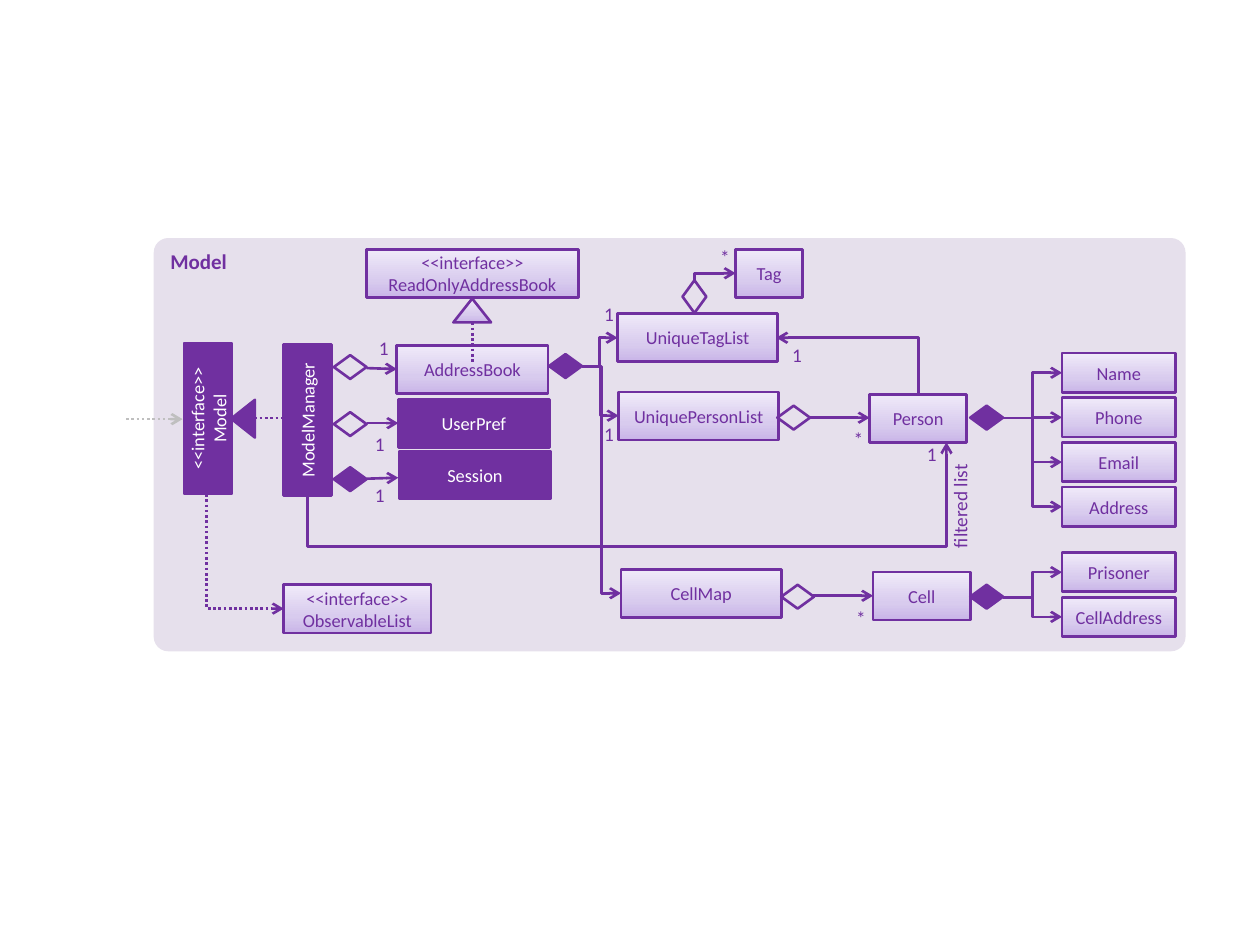
import copy
import math

import lxml.etree
import pptx
import pptx.dml.color
import pptx.enum.dml
import pptx.enum.shapes
import pptx.enum.text
import pptx.oxml.ns
import pptx.util

Cm = pptx.util.Cm
Pt = pptx.util.Pt
qn = pptx.oxml.ns.qn
SHAPES = pptx.enum.shapes.MSO_SHAPE
CONNECTORS = pptx.enum.shapes.MSO_CONNECTOR
ALIGN = pptx.enum.text.PP_ALIGN
ANCHOR = pptx.enum.text.MSO_ANCHOR

FONT = "Calibri"
PURPLE, WHITE, PANEL, GREY = "7030A0", "FFFFFF", "E6E0EC", "BFBFBF"
GRADIENT = [(0, "C9B5E8"), (0.35, "D8CBEE"), (1, "F0EAF9")]
BOX_HEIGHT = 0.97
DIAMOND = (0.66, 0.48)
TRIANGLE = (0.76, 0.48)

# All places and sizes are in centimetres.
# text ("\n" new paragraph, "\v" line break), left, top, width, rotation
SOLID_BOXES = [
    ("UserPref", 8.03, 8.05, 3.05, 0),
    ("Session", 8.05, 9.09, 3.05, 0),
    ("ModelManager", 4.67, 7.98, 3.05, 270),
    ("<<interface>>\nModel", 2.67, 7.95, 3.05, 270),
]
LIGHT_BOXES = [
    ("AddressBook", 8.0, 6.96, 3.05),
    ("UniquePersonList", 12.47, 7.9, 3.23),
    ("UniqueTagList", 12.45, 6.32, 3.23),
    ("CellMap", 12.52, 11.48, 3.23),
    ("Person", 17.53, 7.95, 1.96),
    ("Cell", 17.6, 11.53, 1.96),
    ("Tag", 14.83, 5.03, 1.35),
    ("<<interface>>\vReadOnlyAddressBook", 7.39, 5.03, 4.27),
    ("<<interface>>\vObservableList", 5.72, 11.79, 2.97),
]
# names, top of the first box, start of the branching lines
FIELD_STACKS = [
    (["Name", "Phone", "Email", "Address"], 7.12, (20.22, 8.43)),
    (["Prisoner", "CellAddress"], 11.14, (20.22, 12.04)),
]
FIELD_LEFT, FIELD_WIDTH, FIELD_HEIGHT, FIELD_PITCH = 21.41, 2.29, 0.79, 0.9

# left, top, rotation
AGGREGATIONS = [(6.73, 8.31, 0), (6.73, 7.16, 0), (15.67, 8.18, 0),
                (15.75, 11.79, 0), (13.67, 5.74, 270)]
COMPOSITIONS = [(11.07, 7.14, 0), (19.56, 8.18, 0), (19.56, 11.79, 0), (6.73, 9.42, 0)]

ARROWS = [
    ((7.39, 8.53), (8.03, 8.53)),
    ((7.39, 7.42), (8.0, 7.44)),
    ((7.39, 9.65), (8.03, 9.63)),
    ((16.33, 8.42), (17.53, 8.42)),
    ((16.38, 12.01), (17.6, 12.01)),
]
DOTTED_LINES = [((5.13, 8.43), (5.74, 8.43)), ((9.52, 6.5), (9.52, 7.32))]
BOOK_START = (11.73, 7.39)
BOOK_ENDS = [(12.47, 8.38), (12.45, 6.81), (12.52, 11.96)]
# start, end, dotted, preset, adjustments
CORNERS = [
    ((14.0, 5.66), (14.83, 5.51), False, "bentConnector2", ()),
    ((18.52, 7.95), (15.65, 6.81), False, "bentConnector2", ()),
    ((4.17, 9.96), (5.72, 12.27), True, "bentConnector2", ()),
    ((6.2, 9.96), (19.08, 8.92), False, "bentConnector4", (-102000, 100000)),
]
MULTIPLICITIES = [
    ("1", 12.01, 6.1), ("1", 12.01, 8.51), ("1", 15.8, 6.93), ("*", 14.35, 4.95),
    ("*", 17.04, 8.61), ("1", 7.47, 6.78), ("1", 7.39, 8.71), ("1", 18.52, 8.92),
    ("*", 17.09, 12.22), ("1", 7.39, 9.75),
]


def rgb(value):
    return pptx.dml.color.RGBColor.from_string(value)


def write(shape, text, size, color, align=ALIGN.CENTER, bold=False):
    frame = shape.text_frame
    frame.word_wrap = True
    for index, content in enumerate(text.split("\n")):
        paragraph = frame.add_paragraph() if index else frame.paragraphs[0]
        paragraph.alignment = align
        for part_index, part in enumerate(content.split("\v")):
            if part_index:
                paragraph.add_line_break()
            run = paragraph.add_run()
            run.text = part
            run.font.name = FONT
            run.font.size = Pt(size)
            run.font.bold = bold
            run.font.color.rgb = rgb(color)


def fill_gradient(shape):
    """Fill from dark at the bottom to light at the top."""
    shape.fill.gradient()
    shape.fill.gradient_angle = 90
    stop_list = shape.element.spPr.find(".//" + qn("a:gsLst"))
    stop_list.insert(1, copy.deepcopy(stop_list[0]))
    for stop, (position, color) in zip(shape.fill.gradient_stops, GRADIENT):
        stop.position = position
        stop.color.rgb = rgb(color)


def add_shape(slide, preset, left, top, width, height, fill=None, rotation=0, line=PURPLE):
    """Add a preset; fill is a colour, "gradient" or None for no fill."""
    shape = slide.shapes.add_shape(preset, Cm(left), Cm(top), Cm(width), Cm(height))
    shape.shadow.inherit = False
    shape.rotation = rotation
    if fill == "gradient":
        fill_gradient(shape)
    elif fill:
        shape.fill.solid()
        shape.fill.fore_color.rgb = rgb(fill)
    else:
        shape.fill.background()
    if line:
        shape.line.color.rgb = rgb(line)
        shape.line.width = Pt(1.5)
    else:
        shape.line.fill.background()
    return shape


def add_box(slide, text, left, top, width, height=BOX_HEIGHT, fill="gradient", rotation=0):
    box = add_shape(slide, SHAPES.RECTANGLE, left, top, width, height, fill, rotation)
    box.text_frame.vertical_anchor = ANCHOR.MIDDLE
    write(box, text, 10.5, PURPLE if fill == "gradient" else WHITE)


def add_line(slide, start, end, kind=CONNECTORS.STRAIGHT, dotted=False, arrow=True, color=PURPLE):
    connector = slide.shapes.add_connector(kind, *map(Cm, start + end))
    connector.line.color.rgb = rgb(color)
    connector.line.width = Pt(1.5)
    if dotted:
        connector.line.dash_style = pptx.enum.dml.MSO_LINE.ROUND_DOT
    properties = connector.element.spPr
    if arrow:
        lxml.etree.SubElement(properties.find(qn("a:ln")), qn("a:tailEnd"), type="arrow")
    lxml.etree.SubElement(properties, qn("a:effectLst"))
    return connector


def add_corner(slide, start, end, dotted, preset, adjustments):
    """Add a bent connector that leaves its start vertically, by a quarter turn."""
    across, down = end[0] - start[0], end[1] - start[1]
    middle_x, middle_y = start[0] + across / 2, start[1] + down / 2
    half_width = math.copysign(down / 2, across)
    half_height = math.copysign(across / 2, -down)
    connector = add_line(slide, (middle_x + half_width, middle_y + half_height),
                         (middle_x - half_width, middle_y - half_height),
                         CONNECTORS.ELBOW, dotted)
    properties = connector.element.spPr
    turn = 90 if across * down < 0 else 270
    properties.find(qn("a:xfrm")).set("rot", str(turn * 60000))
    geometry = properties.find(qn("a:prstGeom"))
    geometry.set("prst", preset)
    for number, value in enumerate(adjustments, 1):
        lxml.etree.SubElement(geometry.find(qn("a:avLst")), qn("a:gd"),
                              name=f"adj{number}", fmla=f"val {value}")


def add_label(slide, text, left, top, width=0.53, height=0.51):
    label = slide.shapes.add_textbox(Cm(left), Cm(top), Cm(width), Cm(height))
    frame = label.text_frame
    frame.margin_left = frame.margin_right = frame.margin_top = frame.margin_bottom = 0
    write(label, text, 11, PURPLE)


def main():
    presentation = pptx.Presentation()
    presentation.slide_width, presentation.slide_height = Cm(25.4), Cm(19.05)
    slide = presentation.slides.add_slide(presentation.slide_layouts[6])

    panel = add_shape(slide, SHAPES.ROUNDED_RECTANGLE, 3.1, 4.8, 20.8, 8.33, PANEL, line=None)
    panel.adjustments[0] = 0.035
    panel.text_frame.vertical_anchor = ANCHOR.TOP
    write(panel, "Model", 12, PURPLE, ALIGN.LEFT, bold=True)

    for text, left, top, width, rotation in SOLID_BOXES:
        add_box(slide, text, left, top, width, fill=PURPLE, rotation=rotation)
    for box in LIGHT_BOXES:
        add_box(slide, *box)
    for names, first_top, start in FIELD_STACKS:
        for index, name in enumerate(names):
            top = first_top + index * FIELD_PITCH
            add_box(slide, name, FIELD_LEFT, top, FIELD_WIDTH, FIELD_HEIGHT)
            add_line(slide, start, (FIELD_LEFT, top + FIELD_HEIGHT / 2), CONNECTORS.ELBOW)

    for end in BOOK_ENDS:
        add_line(slide, BOOK_START, end, CONNECTORS.ELBOW)
    for start, end in ARROWS:
        add_line(slide, start, end)
    for start, end in DOTTED_LINES:
        add_line(slide, start, end, dotted=True, arrow=False)
    add_line(slide, (2.54, 8.45), (3.68, 8.45), dotted=True, color=GREY)
    for corner in CORNERS:
        add_corner(slide, *corner)

    for diamonds, fill in ((AGGREGATIONS, None), (COMPOSITIONS, PURPLE)):
        for left, top, rotation in diamonds:
            add_shape(slide, SHAPES.FLOWCHART_DECISION, left, top, *DIAMOND, fill, rotation)
    add_shape(slide, SHAPES.ISOSCELES_TRIANGLE, 4.52, 8.2, *TRIANGLE, PURPLE, 270)
    add_shape(slide, SHAPES.ISOSCELES_TRIANGLE, 9.14, 6.02, *TRIANGLE, "gradient")

    for label in MULTIPLICITIES:
        add_label(slide, *label)
    filtered = slide.shapes.add_textbox(Cm(18.14), Cm(9.96), Cm(2.44), Cm(0.74))
    filtered.rotation = 270
    write(filtered, "filtered list", 11, PURPLE, ALIGN.RIGHT)

    presentation.save("out.pptx")


if __name__ == "__main__":
    main()
